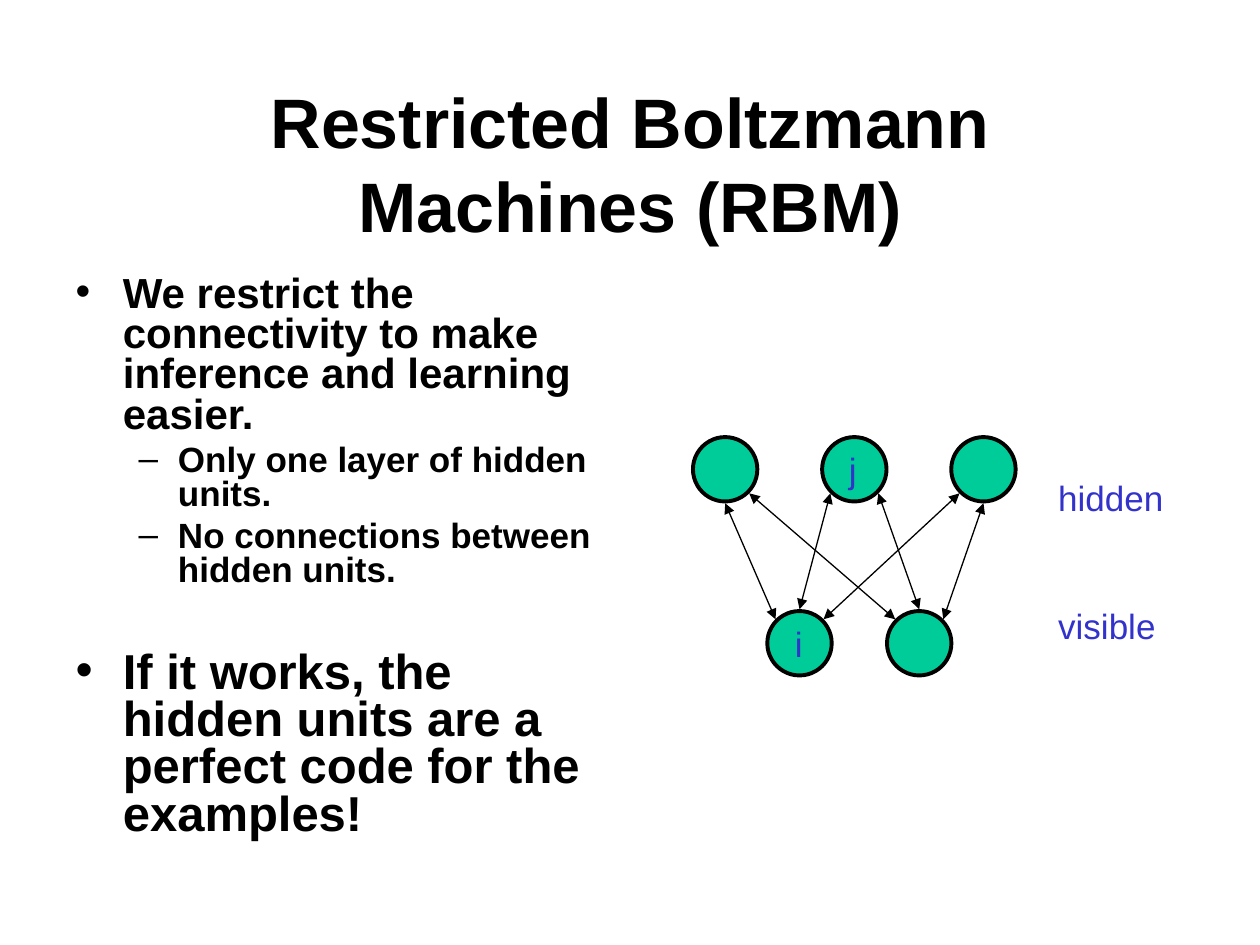
from math import cos, radians, sin

from lxml.etree import SubElement
from pptx import Presentation
from pptx.dml.color import RGBColor
from pptx.enum.shapes import MSO_CONNECTOR, MSO_SHAPE
from pptx.enum.text import MSO_ANCHOR, MSO_AUTO_SIZE, PP_ALIGN
from pptx.oxml.ns import qn
from pptx.util import Pt

COLORS = {"ink": "000000", "unit": "00CC99", "label": "3333CC", "paper": "FFFFFF"}
FONT = "Arial"
UNIT_SIZE = 36.8
LINK_REACH = UNIT_SIZE / 2 + 1
HIDDEN = [(414.4 + 73.8 * column, 268.2) for column in range(3)]
VISIBLE = [(456.9 + 68.4 * column, 367.6) for column in range(2)]
RIGHT_DOWN, DOWN, LEFT_DOWN = 45, 90, 135
LEFT_UP, UP, RIGHT_UP = 225, 270, 315


def color(name):
    return RGBColor.from_string(COLORS[name])


def rim_point(center, angle):
    x, y = center
    turn = radians(angle)
    return Pt(x + LINK_REACH * cos(turn)), Pt(y + LINK_REACH * sin(turn))


class Slide:
    def __init__(self, deck):
        self.page = deck.slides.add_slide(deck.slide_layouts[1])
        self.page.background.fill.solid()
        self.page.background.fill.fore_color.rgb = color("paper")
        self.diagram = self.page.shapes.add_group_shape()

    def place(self, box, left, top, width, height):
        box.left, box.top = Pt(left), Pt(top)
        box.width, box.height = Pt(width), Pt(height)
        box.text_frame.auto_size = MSO_AUTO_SIZE.NONE
        box.text_frame.word_wrap = True

    def add_span(self, para, text, size, tone="ink", bold=True):
        span = para.add_run()
        span.text = text
        span.font.name = FONT
        span.font.size = Pt(size)
        span.font.bold = bold
        span.font.color.rgb = color(tone)

    def title(self, text, *area):
        box = self.page.shapes.title
        self.place(box, *area)
        box.text_frame.vertical_anchor = MSO_ANCHOR.MIDDLE
        para = box.text_frame.paragraphs[0]
        para.alignment = PP_ALIGN.CENTER
        self.add_span(para, text, 40)

    def bullet(self, para, mark, margin, hang):
        properties = para._p.get_or_add_pPr()
        properties.set("marL", str(Pt(margin)))
        properties.set("indent", str(Pt(-hang)))
        tint = SubElement(properties, qn("a:buClr"))
        SubElement(tint, qn("a:srgbClr"), val=COLORS["ink"])
        SubElement(properties, qn("a:buFont"), typeface=FONT)
        SubElement(properties, qn("a:buChar"), char=mark)

    def body(self, items, *area):
        box = self.page.placeholders[1]
        self.place(box, *area)
        frame = box.text_frame
        for index, (level, text, size, gap) in enumerate(items):
            para = frame.add_paragraph() if index else frame.paragraphs[0]
            para.level = level
            self.bullet(para, *[("•", 27, 27), ("–", 58.5, 22.5)][level])
            para.line_spacing = 0.8
            para.space_before = Pt(gap)
            self.add_span(para, text, size)

    def unit(self, center):
        x, y = center
        circle = self.diagram.shapes.add_shape(
            MSO_SHAPE.OVAL, Pt(x - UNIT_SIZE / 2), Pt(y - UNIT_SIZE / 2),
            Pt(UNIT_SIZE), Pt(UNIT_SIZE))
        circle.shadow.inherit = False
        circle.fill.solid()
        circle.fill.fore_color.rgb = color("unit")
        circle.line.color.rgb = color("ink")
        circle.line.width = Pt(2.25)

    def link(self, start, end):
        arrow = self.diagram.shapes.add_connector(MSO_CONNECTOR.STRAIGHT, *start, *end)
        arrow.line.color.rgb = color("ink")
        arrow.line.width = Pt(0.75)
        outline = arrow.line._get_or_add_ln()
        for tip in ("a:headEnd", "a:tailEnd"):
            SubElement(outline, qn(tip), type="triangle")
        SubElement(arrow._element.spPr, qn("a:effectLst"))

    def label(self, lines, *area, gap=0):
        box = self.diagram.shapes.add_textbox(*map(Pt, area))
        frame = box.text_frame
        frame.word_wrap = True
        frame.auto_size = MSO_AUTO_SIZE.SHAPE_TO_FIT_TEXT
        for index, text in enumerate(lines):
            para = frame.add_paragraph() if index else frame.paragraphs[0]
            if index:
                para.space_before = Pt(gap)
            self.add_span(para, text, 20, "label", False)


def main():
    deck = Presentation()
    deck.slide_width, deck.slide_height = Pt(720), Pt(540)
    slide = Slide(deck)
    slide.title("Restricted Boltzmann Machines (RBM)", 54, 48, 612, 90)
    slide.body([
        (0, "We restrict the connectivity to make inference and learning easier.", 24, 0),
        (1, "Only one layer of hidden units.", 20, 5),
        (1, "No connections between hidden units.", 20, 5),
        (0, "If it works, the hidden units are a perfect code for the examples!", 28, 36),
    ], 36, 154, 318, 354)

    for center in VISIBLE + HIDDEN:
        slide.unit(center)
    links = [
        (0, DOWN, 0, LEFT_UP), (0, RIGHT_DOWN, 1, LEFT_UP),
        (1, LEFT_DOWN, 0, UP), (1, RIGHT_DOWN, 1, UP),
        (2, LEFT_DOWN, 0, RIGHT_UP), (2, DOWN, 1, RIGHT_UP),
    ]
    for hidden, leaving, visible, arriving in links:
        slide.link(rim_point(HIDDEN[hidden], leaving),
                   rim_point(VISIBLE[visible], arriving))

    slide.label(["hidden", "visible"], 597.6, 268.6, 79.2, 104.4, gap=49)
    slide.label(["i"], 447.1, 352, 28, 31.7)
    slide.label(["j"], 478, 252.7, 33.8, 31.7)
    deck.save("out.pptx")


if __name__ == "__main__":
    main()
